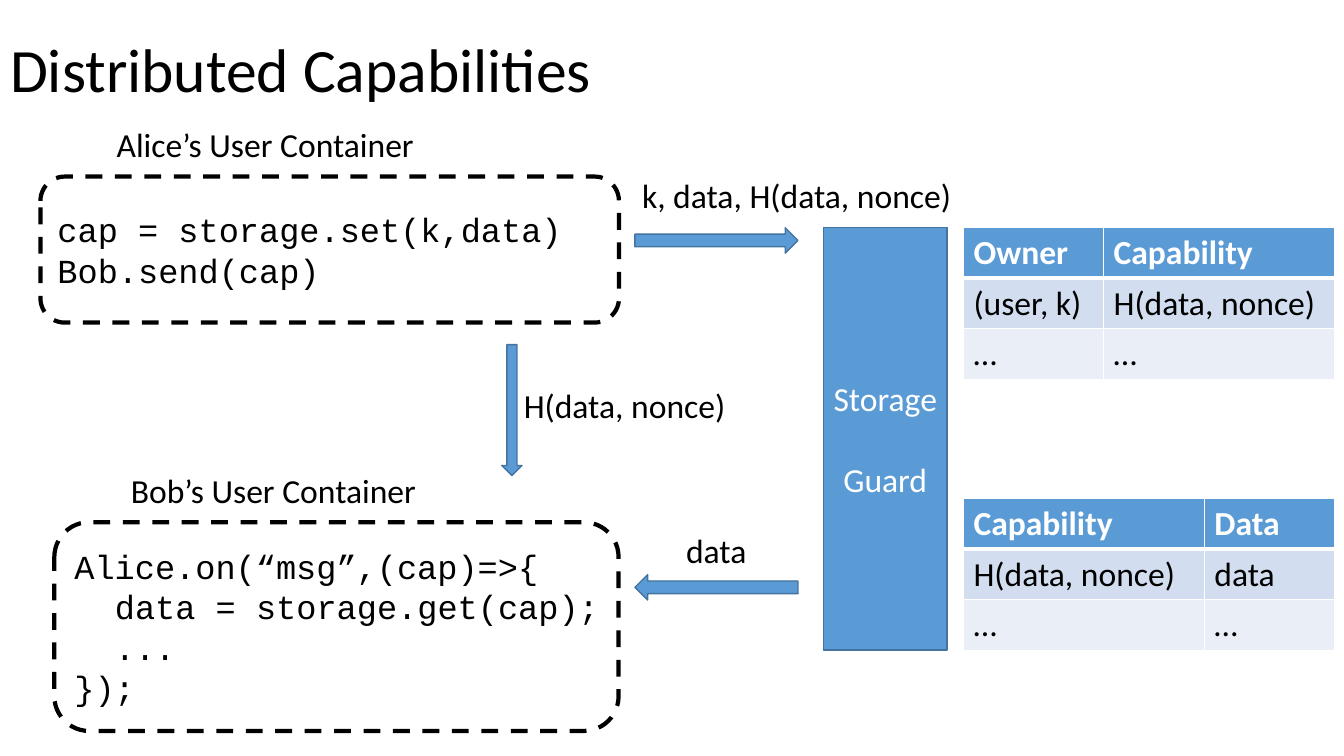
"""Build the Distributed Capabilities slide."""
from dataclasses import dataclass

from lxml import etree
from pptx import Presentation
from pptx.dml.color import RGBColor
from pptx.enum.dml import MSO_LINE
from pptx.enum.shapes import MSO_SHAPE
from pptx.enum.text import MSO_ANCHOR, MSO_AUTO_SIZE, PP_ALIGN
from pptx.oxml.ns import qn
from pptx.util import Cm, Pt

DASH = MSO_LINE.DASH
RECTANGLE, ROUNDED = MSO_SHAPE.RECTANGLE, MSO_SHAPE.ROUNDED_RECTANGLE
RIGHT_ARROW = MSO_SHAPE.RIGHT_ARROW
MIDDLE = MSO_ANCHOR.MIDDLE
FIT_TEXT = MSO_AUTO_SIZE.SHAPE_TO_FIT_TEXT
LEFT, CENTER = PP_ALIGN.LEFT, PP_ALIGN.CENTER

COLORS = {"black": "000000", "white": "FFFFFF", "blue": "5B9BD5", "edge": "43739E",
          "band": "D2DEEF", "pale": "EAEFF7"}
SANS, MONO = "Calibri", "Courier New"
CODE_INDENT = Cm(1.02)
ROW_HEIGHT = 1.27


@dataclass
class Box:
    left: float
    top: float
    width: float
    height: float

    def lengths(self) -> tuple:
        return Cm(self.left), Cm(self.top), Cm(self.width), Cm(self.height)


@dataclass
class Container:
    box: Box
    code: list[tuple[int, str]]


@dataclass
class Label:
    box: Box
    text: str


@dataclass
class Arrow:
    box: Box
    rotation: int = 0


@dataclass
class Registry:
    left: float
    top: float
    columns: list[float]
    rows: list[list[str]]


CONTAINERS = [
    Container(Box(1.02, 4.45, 14.58, 3.68),
              [(0, "cap = storage.set(k,data)"), (0, "Bob.send(cap)")]),
    Container(Box(1.37, 13.16, 14.22, 5.26),
              [(0, "Alice.on(“msg”,(cap)=>{"), (1, "data = storage.get(cap);"),
               (1, "..."), (0, "});")]),
]
LABELS = [
    Label(Box(2.69, 3, 8.08, 1.27), "Alice’s User Container"),
    Label(Box(3.05, 11.71, 7.77, 1.27), "Bob’s User Container"),
    Label(Box(15.93, 4.29, 8.38, 1.27), "k, data, H(data, nonce)"),
    Label(Box(12.95, 9.58, 5.64, 1.27), "H(data, nonce)"),
    Label(Box(17.04, 13.23, 2.06, 1.27), "data"),
]
ARROWS = [
    Arrow(Box(16, 5.74, 4.11, 0.64)),
    Arrow(Box(11.25, 10.08, 3.3, 0.51), 90),
    Arrow(Box(16, 14.48, 4.11, 0.64), 180),
]
REGISTRIES = [
    Registry(24.28, 5.74, [3.53, 5.82],
             [["Owner", "Capability"], ["(user, k)", "H(data, nonce)"], ["…", "…"]]),
    Registry(24.28, 12.57, [6.07, 3.28],
             [["Capability", "Data"], ["H(data, nonce)", "data"], ["…", "…"]]),
]


def rgb(name: str) -> RGBColor:
    return RGBColor.from_string(COLORS[name])


def style(paragraph, color: str = "black", face: str = SANS, size: int = 24,
          bold: bool = False, align=LEFT) -> None:
    paragraph.alignment = align
    font = paragraph.font
    font.name, font.size, font.bold = face, Pt(size), bold
    font.color.rgb = rgb(color)


def add_block(slide, kind, box: Box, fill: str, edge: str, weight: float):
    block = slide.shapes.add_shape(kind, *box.lengths())
    block.shadow.inherit = False
    block.fill.solid()
    block.fill.fore_color.rgb = rgb(fill)
    block.line.color.rgb = rgb(edge)
    block.line.width = Pt(weight)
    return block


def add_container(slide, container: Container) -> None:
    block = add_block(slide, ROUNDED, container.box, "white", "black", 3)
    block.line.dash_style = DASH
    frame = block.text_frame
    frame.vertical_anchor = MIDDLE
    frame.margin_right = 0
    frame.text = "\n".join(line for _, line in container.code)
    for paragraph, (depth, _) in zip(frame.paragraphs, container.code):
        style(paragraph, face=MONO)
        if depth:
            paragraph._p.get_or_add_pPr().set("marL", str(depth * CODE_INDENT))


def add_label(slide, label: Label) -> None:
    frame = slide.shapes.add_textbox(*label.box.lengths()).text_frame
    frame.word_wrap = False
    frame.auto_size = FIT_TEXT
    frame.text = label.text
    style(frame.paragraphs[0])


def add_arrow(slide, arrow: Arrow) -> None:
    add_block(slide, RIGHT_ARROW, arrow.box, "blue", "edge", 1).rotation = arrow.rotation


def add_guard(slide) -> None:
    guard = add_block(slide, RECTANGLE, Box(20.75, 5.74, 3.12, 10.64), "blue", "edge", 1)
    frame = guard.text_frame
    frame.vertical_anchor = MIDDLE
    frame.margin_left = frame.margin_right = 0
    frame.text = "Storage\nGuard"
    for paragraph in frame.paragraphs:
        style(paragraph, "white", align=CENTER)
    frame.paragraphs[1].space_before = Pt(29)


def set_borders(cell, row: int) -> None:
    weights = {"lnL": 1, "lnR": 1, "lnT": 3 if row == 1 else 1, "lnB": 3 if row == 0 else 1}
    for side, weight in weights.items():
        line = etree.SubElement(cell._tc.get_or_add_tcPr(), qn(f"a:{side}"), w=str(Pt(weight)))
        paint = etree.SubElement(line, qn("a:solidFill"))
        etree.SubElement(paint, qn("a:srgbClr"), val=COLORS["white"])


def add_registry(slide, registry: Registry) -> None:
    box = Box(registry.left, registry.top, sum(registry.columns),
              ROW_HEIGHT * len(registry.rows))
    table = slide.shapes.add_table(len(registry.rows), len(registry.columns),
                                   *box.lengths()).table
    for column, width in zip(table.columns, registry.columns):
        column.width = Cm(width)
    for row, (texts, fill) in enumerate(zip(registry.rows, ("blue", "band", "pale"))):
        for column, text in enumerate(texts):
            cell = table.cell(row, column)
            cell.text = text
            style(cell.text_frame.paragraphs[0], "black" if row else "white", bold=row == 0)
            set_borders(cell, row)
            cell.fill.solid()
            cell.fill.fore_color.rgb = rgb(fill)


def add_title(slide) -> None:
    title = slide.shapes.title
    title.left, title.top, title.width, title.height = Box(0, 0, 29.21, 3.68).lengths()
    title.text_frame.text = "Distributed Capabilities"
    title.text_frame.vertical_anchor = MIDDLE
    heading = title.text_frame.paragraphs[0]
    style(heading, size=44)
    heading.line_spacing = 0.9


def main() -> None:
    deck = Presentation()
    deck.slide_width, deck.slide_height = Cm(33.87), Cm(19.05)
    slide = deck.slides.add_slide(deck.slide_layouts[5])
    add_title(slide)
    for container in CONTAINERS:
        add_container(slide, container)
    for label in LABELS:
        add_label(slide, label)
    add_guard(slide)
    for arrow in ARROWS:
        add_arrow(slide, arrow)
    for registry in REGISTRIES:
        add_registry(slide, registry)
    deck.save("out.pptx")


if __name__ == "__main__":
    main()
